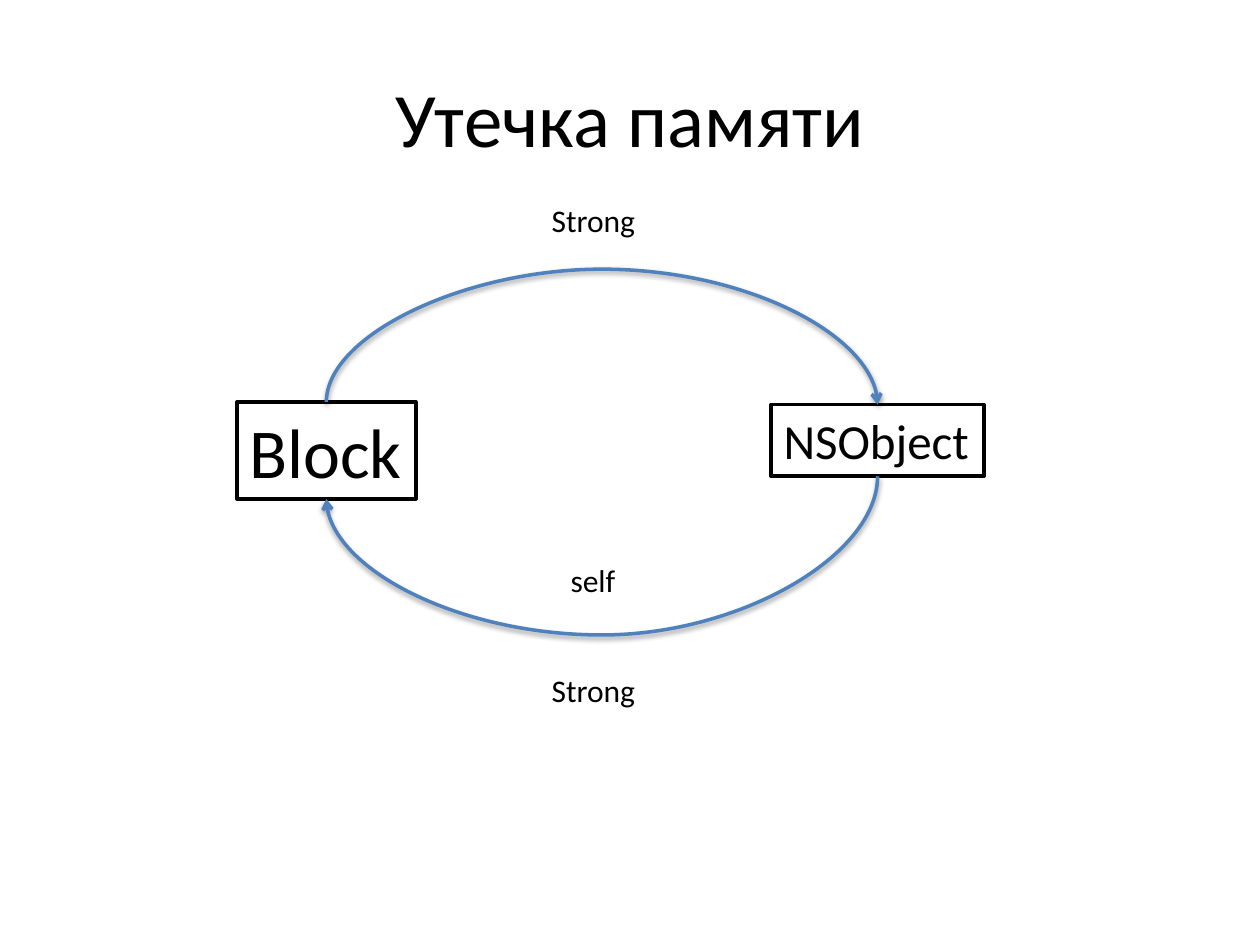
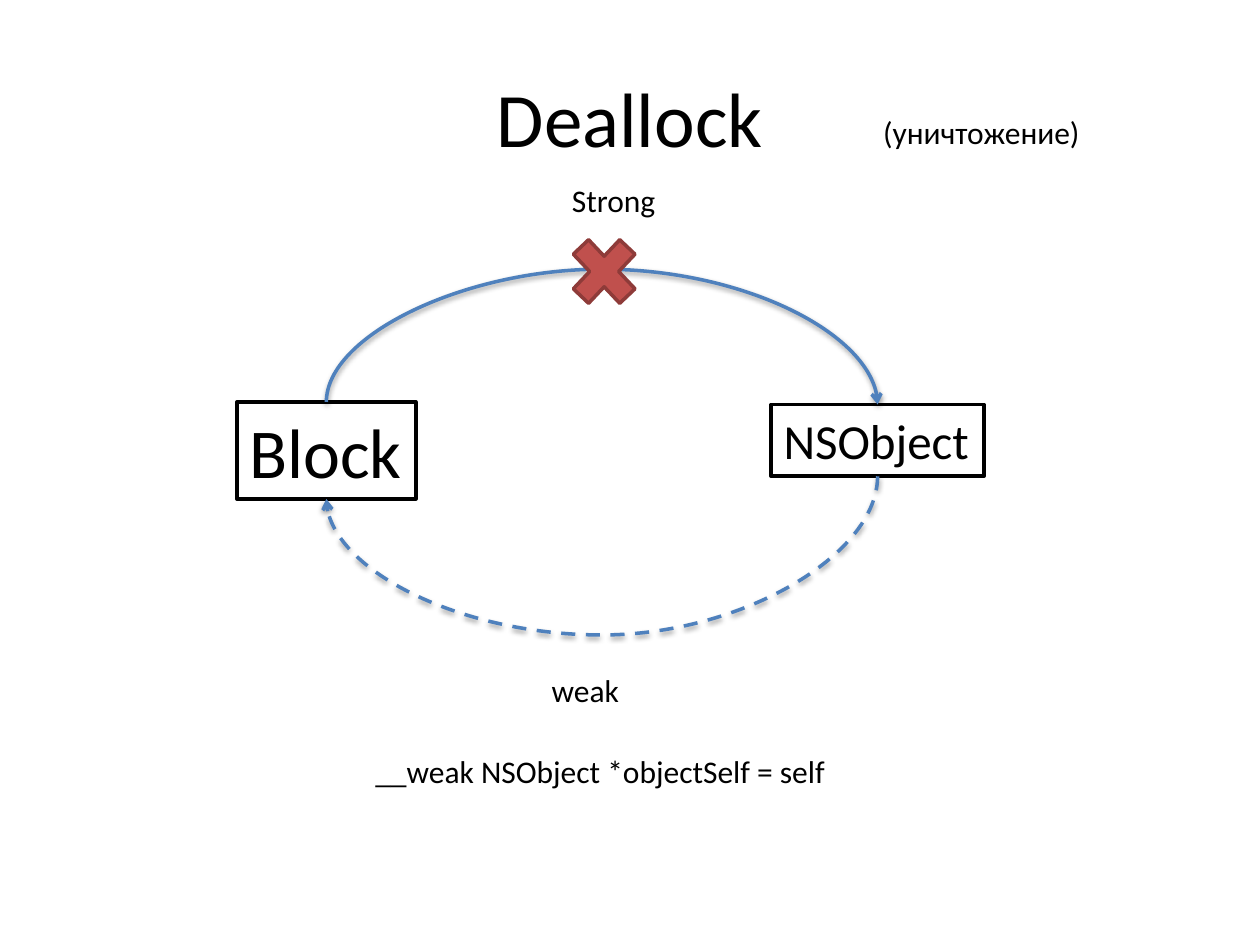
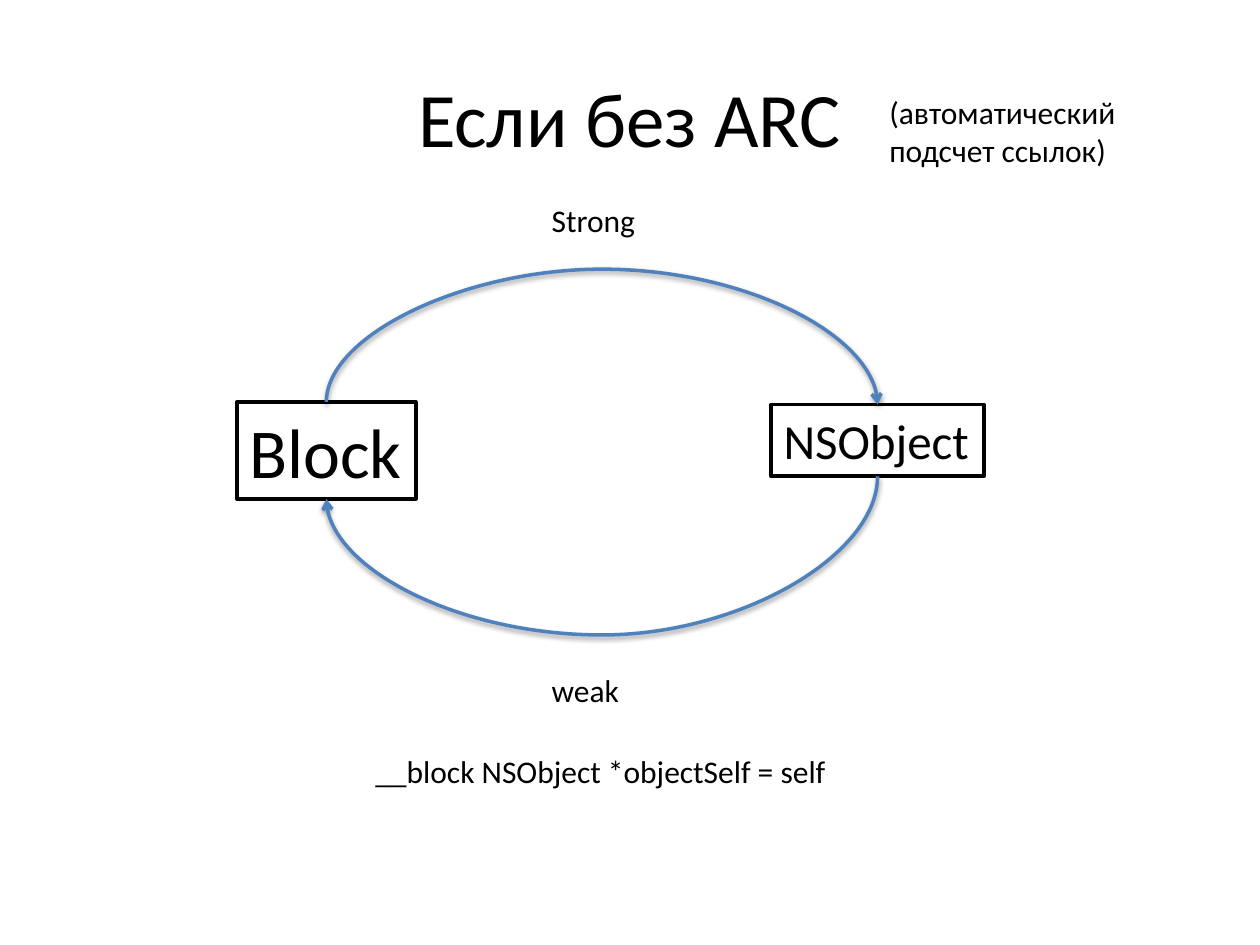
from dataclasses import dataclass

from lxml import etree
from pptx import Presentation
from pptx.dml.color import RGBColor
from pptx.enum import dml, shapes, text
from pptx.oxml import ns
from pptx.util import Inches, Pt


@dataclass(frozen=True)
class Theme:
    """Colours, font and sizes shared by all slides."""
    font: str = "Calibri"
    ink: str = "000000"
    paper: str = "FFFFFF"
    arrow: str = "4F81BD"
    cross: str = "C0504D"
    cross_edge: str = "8E3B39"
    title: int = 44
    block: int = 40
    object: int = 28
    label: int = 18
    line: int = 2


T = Theme()
TOP, BOTTOM = 0, 2          # connection sites of a rectangle
UPPER_BEND, LOWER_BEND = 2.14, 5.04
LABEL_LEFT = 4.28


def rgb(value):
    """Turn a hex string into a colour."""
    return RGBColor.from_string(value)


def add_run(p, words, size):
    """Add one run in the theme's font and ink."""
    r = p.add_run()
    r.text = words
    r.font.name = T.font
    r.font.size = Pt(size)
    r.font.color.rgb = rgb(T.ink)


def add_child(parent, tag, **attrs):
    """Append a DrawingML element."""
    return etree.SubElement(parent, ns.qn(tag), attrs)


def paint(sp, fill, edge):
    """Give a shape a solid fill and outline."""
    sp.fill.solid()
    sp.fill.fore_color.rgb = rgb(fill)
    sp.line.color.rgb = rgb(edge)
    sp.line.width = Pt(T.line)


def add_title_slide(prs, title):
    """Add a slide with a centred title."""
    s = prs.slides.add_slide(prs.slide_layouts[5])
    sp = s.shapes.title
    sp.left, sp.top, sp.width, sp.height = map(Inches, (0.5, 0.3, 9, 1.25))
    tf = sp.text_frame
    tf.vertical_anchor = text.MSO_ANCHOR.MIDDLE
    p = tf.paragraphs[0]
    p.alignment = text.PP_ALIGN.CENTER
    add_run(p, title, T.title)
    return s


def add_label(s, lines, left, top, width, height=0.4, size=T.label):
    """Add unwrapped text, one paragraph a line."""
    sp = s.shapes.add_textbox(*map(Inches, (left, top, width, height)))
    tf = sp.text_frame
    tf.word_wrap = False
    tf.auto_size = text.MSO_AUTO_SIZE.SHAPE_TO_FIT_TEXT
    for i, line in enumerate(lines):
        p = tf.add_paragraph() if i else tf.paragraphs[0]
        add_run(p, line, size)
    return sp


def add_box(s, name, left, top, width, height, size):
    """Add an outlined box with a name in it."""
    sp = add_label(s, [name], left, top, width, height, size)
    paint(sp, T.paper, T.ink)
    return sp


def add_shadow(spPr):
    """Add a soft shadow straight below."""
    effects = add_child(spPr, "a:effectLst")
    shadow = add_child(effects, "a:outerShdw", blurRad="40000", dist="20000",
                       dir="5400000", rotWithShape="0")
    color = add_child(shadow, "a:srgbClr", val=T.ink)
    add_child(color, "a:alpha", val="38000")


def add_arc(s, source, target, site, bend, dashed=False):
    """Add a curved arrow between boxes that swings out to the height bend."""
    x1, x2 = (sp.left + sp.width // 2 for sp in (source, target))
    y1, y2 = (sp.top + (sp.height if site == BOTTOM else 0)
              for sp in (source, target))
    c = s.shapes.add_connector(shapes.MSO_CONNECTOR.CURVE, x1, y1, x2, y2)
    c.begin_connect(source, site)
    c.end_connect(target, site)

    # The curve is a quarter turn of one that leaves sideways.
    spPr = c._element.spPr
    rightward = x2 > x1
    xfrm = spPr.find(ns.qn("a:xfrm"))
    xfrm.attrib.clear()
    xfrm.set("rot", str((270 if rightward else 90) * 60000))
    if rightward:
        xfrm.set("flipH", "1")
    c.width, c.height = y2 - y1, abs(x2 - x1)
    c.left = (x1 + x2 - c.width) // 2
    c.top = (y1 + y2 - c.height) // 2
    adjust = round((Inches(bend) - y1) / (y2 - y1) * 100000)
    guides = spPr.find(ns.qn("a:prstGeom")).get_or_add_avLst()
    add_child(guides, "a:gd", name="adj1", fmla=f"val {adjust}")

    c.line.color.rgb = rgb(T.arrow)
    c.line.width = Pt(T.line)
    if dashed:
        c.line.dash_style = dml.MSO_LINE.DASH
    add_child(spPr.find(ns.qn("a:ln")), "a:tailEnd", type="arrow")
    add_shadow(spPr)


def add_cycle(s, weak_dashed=False):
    """Add the two boxes and the arrows that lead round between them."""
    block = add_box(s, "Block", 1.88, 3.19, 1.42, 0.77, T.block)
    obj = add_box(s, "NSObject", 6.12, 3.21, 1.69, 0.57, T.object)
    add_arc(s, block, obj, TOP, UPPER_BEND)
    add_arc(s, obj, block, BOTTOM, LOWER_BEND, weak_dashed)


def add_weak_labels(s, declaration):
    """Label the lower arrow as weak, with the declaration below."""
    add_label(s, [declaration], 2.88, 5.92, 3.82)
    add_label(s, ["weak"], LABEL_LEFT, 5.28, 0.74)


def add_strong(s, top, left=LABEL_LEFT):
    """Label an arrow as strong."""
    add_label(s, ["Strong"], left, top, 0.88)


def add_cross(s):
    """Cross out the upper arrow."""
    sp = s.shapes.add_shape(shapes.MSO_SHAPE.MATH_MULTIPLY,
                            *map(Inches, (4.44, 1.78, 0.71, 0.75)))
    sp.shadow.inherit = False
    paint(sp, T.cross, T.cross_edge)


def build_leak(prs):
    """Two strong references keep each other alive."""
    s = add_title_slide(prs, "Утечка памяти")
    add_cycle(s)
    add_label(s, ["self"], 4.43, 4.4, 0.57)
    add_strong(s, 5.28)
    add_strong(s, 1.55)


def build_dealloc(prs):
    """A weak reference lets the strong one be broken."""
    s = add_title_slide(prs, "Deallock")
    add_cycle(s, weak_dashed=True)
    add_weak_labels(s, "__weak NSObject *objectSelf = self")
    add_strong(s, 1.39, 4.44)
    add_cross(s)
    add_label(s, ["(уничтожение)"], 6.91, 0.85, 1.79)


def build_without_arc(prs):
    """The weak reference without reference counting."""
    s = add_title_slide(prs, "Если без ARC")
    add_cycle(s)
    add_weak_labels(s, "__block NSObject *objectSelf = self")
    add_strong(s, 1.55)
    add_label(s, ["(автоматический ", "подсчет ссылок)"],
              6.96, 0.69, 2.02, 0.71)


def main():
    """Build and save the presentation."""
    prs = Presentation()
    prs.slide_width, prs.slide_height = Inches(10), Inches(7.5)
    build_leak(prs)
    build_dealloc(prs)
    build_without_arc(prs)
    prs.save("out.pptx")


main()
